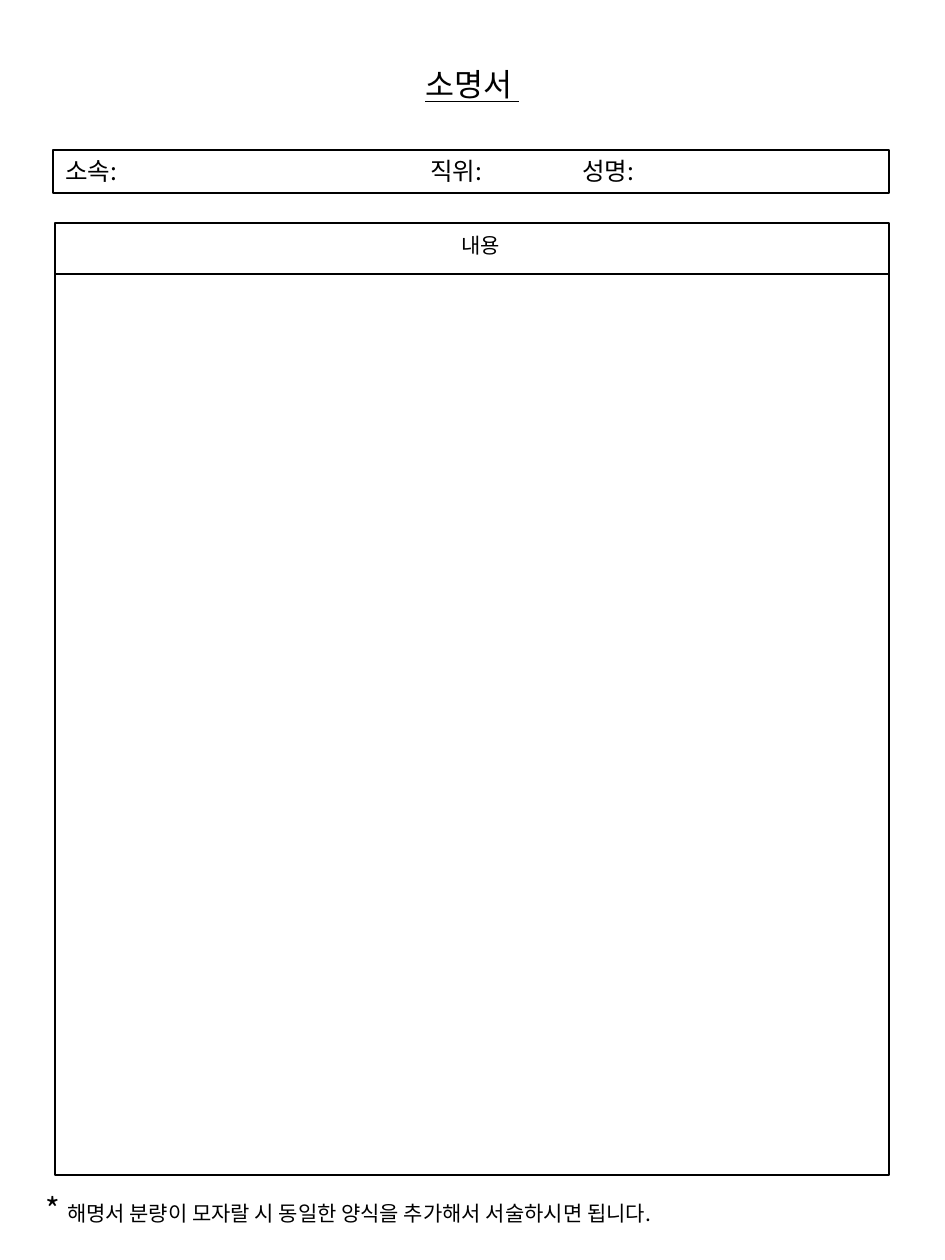
"""Build a one-page Korean explanation form with a title, a name row and a content frame."""
from lxml import etree
from pptx import Presentation, util as u
from pptx.dml.color import RGBColor
from pptx.enum import shapes, text
from pptx.oxml import ns

FACE = "Noto Sans CJK KR"
INK = "000000"


def px(n):
    return u.Inches(n / 126)


def write(shape, runs, wrap=False, align="LEFT", stops=(), line=None):
    frame = shape.text_frame
    look = {"word_wrap": wrap, "vertical_anchor": text.MSO_ANCHOR.TOP,
            "auto_size": text.MSO_AUTO_SIZE.NONE}
    for key, val in look.items():
        setattr(frame, key, val)
    para = frame.paragraphs[0]
    para.alignment = getattr(text.PP_ALIGN, align)
    if stops:
        tabs = etree.SubElement(para._p.get_or_add_pPr(), ns.qn("a:tabLst"))
        for stop in stops:
            etree.SubElement(tabs, ns.qn("a:tab"), pos=str(px(stop)), algn="l")
    for words, size in runs:
        run = para.add_run()
        run.text = words
        style = {"size": u.Pt(size), "name": FACE, "underline": line}
        for key, val in style.items():
            setattr(run.font, key, val)
        run.font.color.rgb = RGBColor.from_string(INK)
        etree.SubElement(run._r.get_or_add_rPr(), ns.qn("a:ea"), typeface=FACE)


deck = Presentation()
deck.slide_width, deck.slide_height = px(945), px(1260)
slide = deck.slides.add_slide(deck.slide_layouts[6])
items = slide.shapes

title = items.add_textbox(px(412), px(59), px(121), px(50))
write(title, [("소명서 ", 18)], align="CENTER", line=True)

frames = []
for box in [(53, 150, 836, 43), (55, 223, 834, 952)]:
    rect = items.add_shape(shapes.MSO_SHAPE.RECTANGLE, *map(px, box))
    rect.shadow.inherit = False
    rect.fill.background()
    frames.append(rect)
write(frames[0], [("소속:\t직위:\t성명:", 14)], wrap=True, stops=(365, 517))

rule = items.add_connector(shapes.MSO_CONNECTOR.STRAIGHT,
                           px(55), px(274), px(889), px(274))
etree.SubElement(rule._element.spPr, ns.qn("a:effectLst"))
for item in [*frames, rule]:
    item.line.color.rgb = RGBColor.from_string(INK)
    item.line.width = u.Pt(0.75)

head = items.add_textbox(px(449), px(226), px(63), px(38))
write(head, [("내용", 12)])

note = items.add_textbox(px(33), px(1184), px(656), px(50))
write(note, [("* ", 18), ("해명서 분량이 모자랄 시 동일한 양식을 추가해서 서술하시면 됩니다.", 12)])

deck.save("out.pptx")
